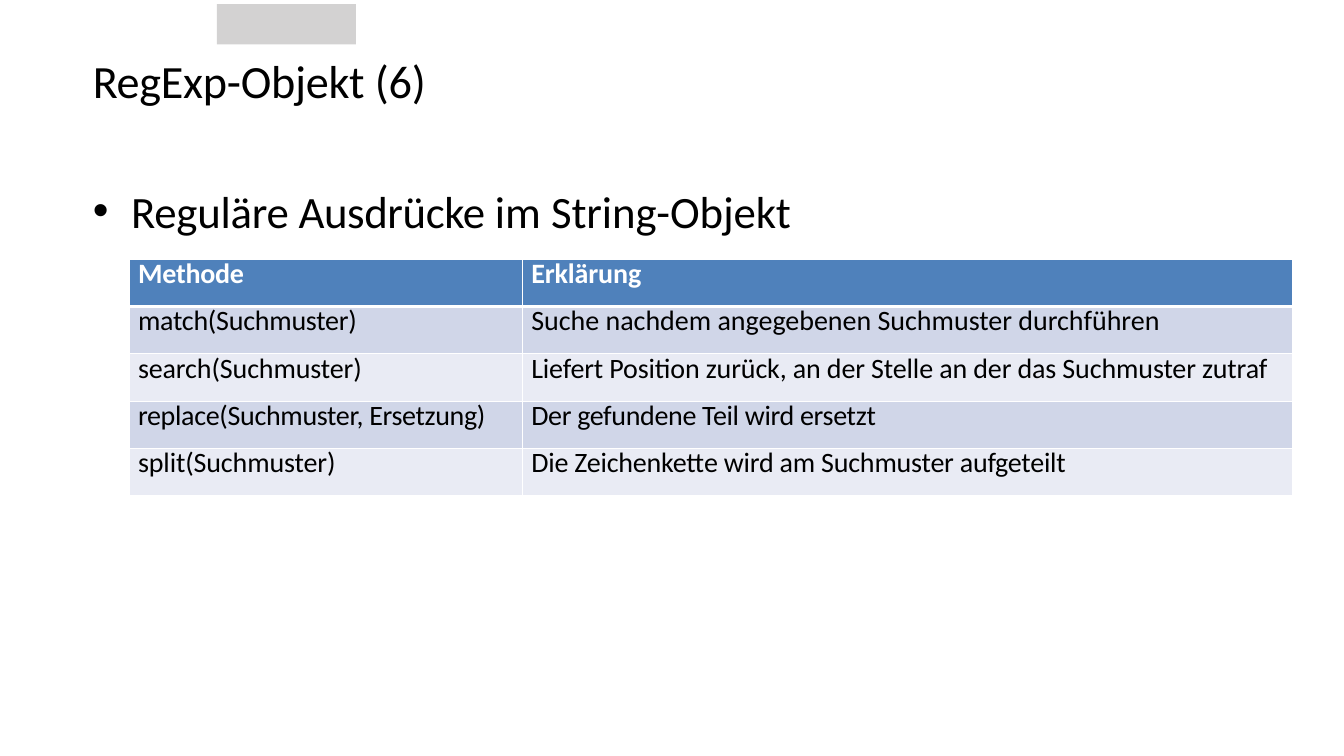
from lxml.etree import SubElement
from pptx import Presentation
from pptx.dml.color import RGBColor
from pptx.enum.shapes import MSO_SHAPE as Shape
from pptx.oxml.ns import qn
from pptx.util import Inches, Pt

WIDTH, HEIGHT = 13.33, 7.5
MARGIN = 0.92
ROW_HEIGHT = 0.47
COLUMN_WIDTHS = (3.9, 7.64)
BLACK, WHITE, GREY, BLUE = "000000", "FFFFFF", "D3D2D2", "4F81BB"
BANDS = ("E9EBF4", "D0D6E8")
BULLET = "•"

# Each cell holds its text and its letter spacing in points.
METHODS = [
    [("Methode", -0.2), ("Erklärung", -0.1)],
    [("match(Suchmuster)", -0.2),
     ("Suche nachdem angegebenen Suchmuster durchführen", -0.04)],
    [("search(Suchmuster)", -0.1),
     ("Liefert Position zurück, an der Stelle an der das Suchmuster zutraf", -0.12)],
    [("replace(Suchmuster, Ersetzung)", -0.26),
     ("Der gefundene Teil wird ersetzt", -0.25)],
    [("split(Suchmuster)", -0.1),
     ("Die Zeichenkette wird am Suchmuster aufgeteilt", -0.18)],
]


def color(value):
    return RGBColor.from_string(value)


def set_all(target, **values):
    for name, value in values.items():
        setattr(target, name, value)


def fill_solid(target, value):
    target.fill.solid()
    target.fill.fore_color.rgb = color(value)


def add_span(para, text, size, spacing, ink=BLACK, bold=False):
    span = para.add_run()
    span.text = text
    set_all(span.font, name="Calibri", size=Pt(size), bold=bold)
    span.font.color.rgb = color(ink)
    span.font._element.set("spc", str(round(spacing * 100)))


def add_line(page, box, spans, size, space_before):
    """Add a one-line text box and return its paragraph."""
    frame = page.shapes.add_textbox(*map(Inches, box)).text_frame
    set_all(frame, word_wrap=True, margin_left=0, margin_right=0,
            margin_top=Inches(0.01), margin_bottom=0)
    para = frame.paragraphs[0]
    para.space_before = Pt(space_before)
    for text, spacing in spans:
        add_span(para, text, size, spacing)
    return para


def add_bullet(para, indent):
    props = para._p.get_or_add_pPr()
    props.set("marL", str(Inches(indent)))
    props.set("indent", str(-Inches(indent)))
    SubElement(props, qn("a:buFont"), typeface="Arial")
    SubElement(props, qn("a:buChar"), char=BULLET)


def set_borders(cell, **widths):
    """Draw white borders; they have to precede the fill in the cell."""
    props = cell._tc.get_or_add_tcPr()
    for side, width in widths.items():
        line = SubElement(props, qn(f"a:ln{side}"), w=str(Pt(width)))
        fill = SubElement(line, qn("a:solidFill"))
        SubElement(fill, qn("a:srgbClr"), val=WHITE)


def add_header_block(page, box):
    block = page.shapes.add_shape(Shape.RECTANGLE, *map(Inches, box))
    block.shadow.inherit = False
    fill_solid(block, GREY)
    block.line.fill.background()


def fill_cell(cell, row, text, spacing):
    header = row == 0
    set_all(cell, margin_left=Inches(0.09), margin_right=0,
            margin_top=0, margin_bottom=0)
    set_borders(cell, L=1, R=1, T=3 if row == 1 else 1, B=3 if header else 1)
    fill_solid(cell, BLUE if header else BANDS[row % 2])
    para = cell.text_frame.paragraphs[0]
    para.line_spacing = Pt(22.8)
    add_span(para, text, 20, spacing, WHITE if header else BLACK, header)


def add_method_table(page, left, top):
    box = left, top, sum(COLUMN_WIDTHS), ROW_HEIGHT * len(METHODS)
    table = page.shapes.add_table(len(METHODS), len(COLUMN_WIDTHS),
                                  *map(Inches, box)).table
    for column, width in zip(table.columns, COLUMN_WIDTHS):
        column.width = Inches(width)
    for row, entries in enumerate(METHODS):
        table.rows[row].height = Inches(ROW_HEIGHT)
        for column, (text, spacing) in enumerate(entries):
            fill_cell(table.cell(row, column), row, text, spacing)


def main():
    deck = Presentation()
    set_all(deck, slide_width=Inches(WIDTH), slide_height=Inches(HEIGHT))
    page = deck.slides.add_slide(deck.slide_layouts[6])
    add_header_block(page, (2.15, 0.04, 1.38, 0.4))
    add_line(page, (MARGIN, 0.51, WIDTH / 2, 0.58),
             [("RegExp-Objekt ", -0.2), ("(6)", -0.1)], 33, 1)
    topic = add_line(page, (MARGIN, 1.81, WIDTH - 2 * MARGIN, 0.56),
                     [("Reguläre", -0.2), (" Ausdrücke ", -0.3),
                      ("im ", 0), ("String-Objekt", -0.1)], 32, 1.1)
    add_bullet(topic, 0.38)
    add_method_table(page, 1.28, 2.57)
    deck.save("out.pptx")


if __name__ == "__main__":
    main()
